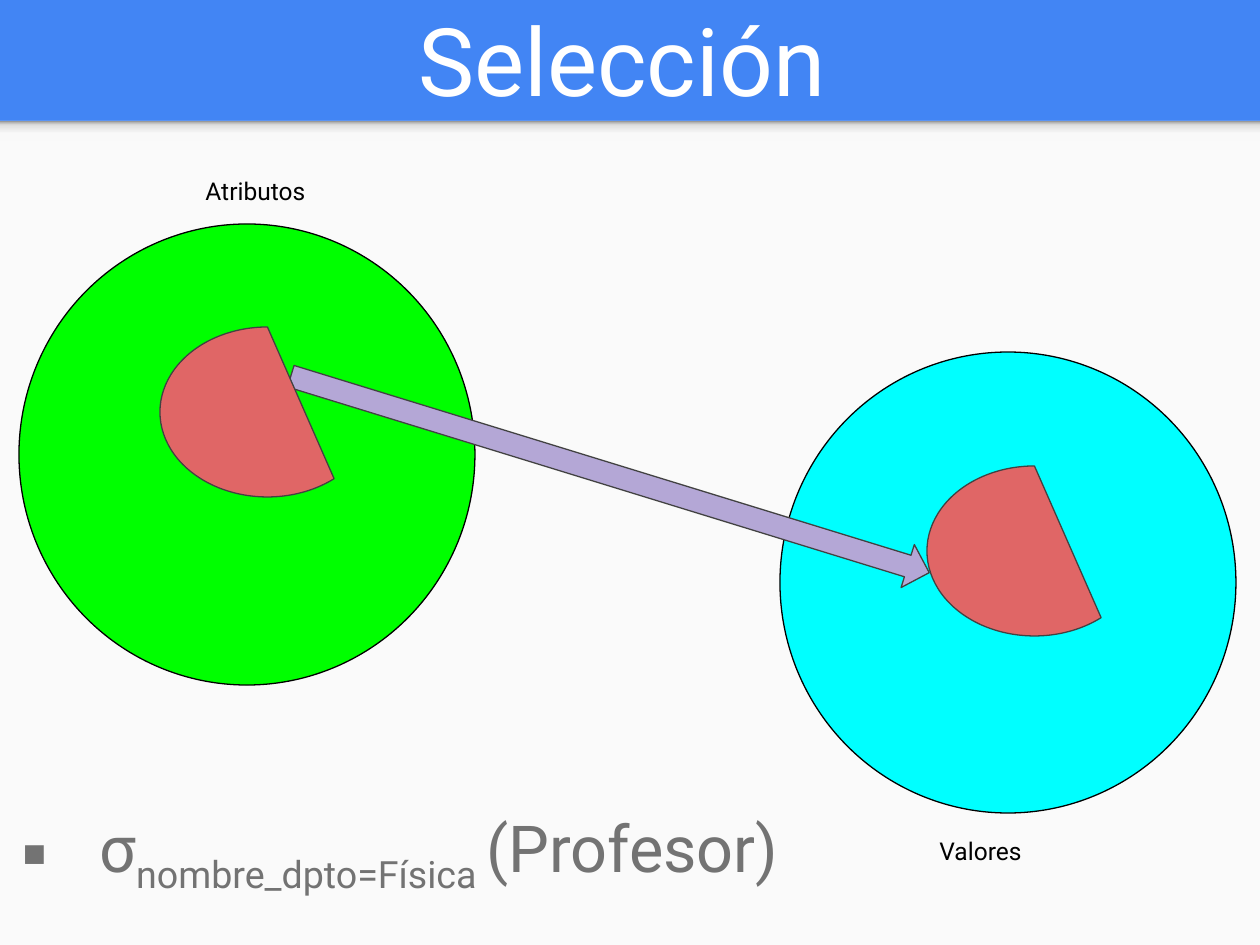
from pptx import Presentation
from pptx.dml.color import RGBColor
from pptx.enum.shapes import MSO_SHAPE
from pptx.enum.text import MSO_ANCHOR, MSO_AUTO_SIZE, PP_ALIGN
from pptx.oxml import parse_xml
from pptx.oxml.ns import nsdecls
from pptx.util import Pt

RECT, OVAL = MSO_SHAPE.RECTANGLE, MSO_SHAPE.OVAL
CHORD, ARROW = MSO_SHAPE.CHORD, MSO_SHAPE.RIGHT_ARROW
TOP, MIDDLE = MSO_ANCHOR.TOP, MSO_ANCHOR.MIDDLE
FIXED, CENTER = MSO_AUTO_SIZE.NONE, PP_ALIGN.CENTER

BLUE = RGBColor(0x42, 0x85, 0xF4)
PALE = RGBColor(0xFA, 0xFA, 0xFA)
WHITE = RGBColor(0xFF, 0xFF, 0xFF)
BLACK = RGBColor(0, 0, 0)
GREEN = RGBColor(0, 0xFF, 0)
CYAN = RGBColor(0, 0xFF, 0xFF)
RED = RGBColor(0xE0, 0x66, 0x66)
LILAC = RGBColor(0xB4, 0xA7, 0xD6)
DARK = RGBColor(0x42, 0x42, 0x42)
GREY = RGBColor(0x73, 0x73, 0x73)

PX = 914400 / 126  # EMU in one pixel


def add(kind, box, fill, edge=None):
    shape = slide.shapes.add_shape(kind, *[round(n * PX) for n in box])
    shape.shadow.inherit = False
    shape.fill.solid()
    shape.fill.fore_color.rgb = fill
    if edge is None:
        shape.line.fill.background()
    else:
        shape.line.color.rgb = edge
        shape.line.width = Pt(0.75)
    return shape


def write(shape, box, texts, size, color, pad):
    shape.left, shape.top, shape.width, shape.height = [round(n * PX) for n in box]
    frame = shape.text_frame
    frame.word_wrap = True
    frame.auto_size = FIXED
    frame.vertical_anchor = TOP
    frame.margin_left = frame.margin_right = Pt(7.2)
    frame.margin_top = frame.margin_bottom = Pt(pad)
    para = frame.paragraphs[0]
    para.space_before = Pt(0)
    for text in texts:
        run = para.add_run()
        run.text = text
        run.font.name = "Roboto"
        run.font.size = Pt(size)
        run.font.color.rgb = color
    return para


deck = Presentation()
deck.slide_width, deck.slide_height = round(1260 * PX), round(945 * PX)
slide = deck.slides.add_slide(deck.slide_layouts[1])
title, body = slide.placeholders
tree = slide.shapes._spTree

# Blue band, pale panel and the soft edge between them
slide.background.fill.solid()
slide.background.fill.fore_color.rgb = BLUE
add(RECT, (0, 121, 1260, 824), PALE)
edge = add(RECT, (0, 121, 1260, 20), PALE)
edge.fill.gradient()
edge.fill.gradient_angle = 90
stops = edge._element.spPr.find(".//{*}gsLst")
for stop in list(stops):
    stops.remove(stop)
for pos, tone in ((0, "F9F9F9"), (36, "F9F9F9"), (80, "DEDEDE"), (100, "999999")):
    stops.append(parse_xml(
        f'<a:gs {nsdecls("a")} pos="{pos * 1000}"><a:srgbClr val="{tone}"/></a:gs>'))

# Title
tree.append(title._element)
para = write(title, (14, 3, 1216, 111), ["Selección"], 54, WHITE, 3.6)
para.alignment = CENTER
title.text_frame.vertical_anchor = MIDDLE

# Sets and their labels
add(OVAL, (19, 224, 456, 461), GREEN, BLACK)
add(OVAL, (780, 352, 456, 461), CYAN, BLACK)
for text, box in (("Atributos", (193, 163, 132, 73)), ("Valores", (927, 823, 110, 73))):
    label = slide.shapes.add_textbox(0, 0, 0, 0)
    write(label, box, [text], 14, BLACK, 7.2)

# Subsets, with the arrow between them in depth
right = add(CHORD, (927, 466, 215, 170), RED, DARK)
arrow = add(ARROW, (276, 452, 668, 45), LILAC, DARK)
arrow.rotation = 17.1
left = add(CHORD, (160, 327, 215, 170), RED, DARK)
for chord in (left, right):
    chord.adjustments[0] = 27
    chord.adjustments[1] = 162

# Formula
tree.append(body._element)
para = write(body, (9, 795, 885, 111),
             ["σ", "nombre_dpto=Física ", "(Profesor)"], 37, GREY, 7.2)
para.runs[1]._r.get_or_add_rPr().set("baseline", "-25000")
props = para._p.get_or_add_pPr()
indent = round(78 * PX)
props.set("marL", str(indent))
props.set("indent", str(-indent))
for xml in (f'<a:buClr {nsdecls("a")}><a:srgbClr val="{GREY}"/></a:buClr>',
            f'<a:buFont {nsdecls("a")} typeface="Roboto"/>',
            f'<a:buChar {nsdecls("a")} char="▪"/>'):
    props.append(parse_xml(xml))

deck.save("out.pptx")
